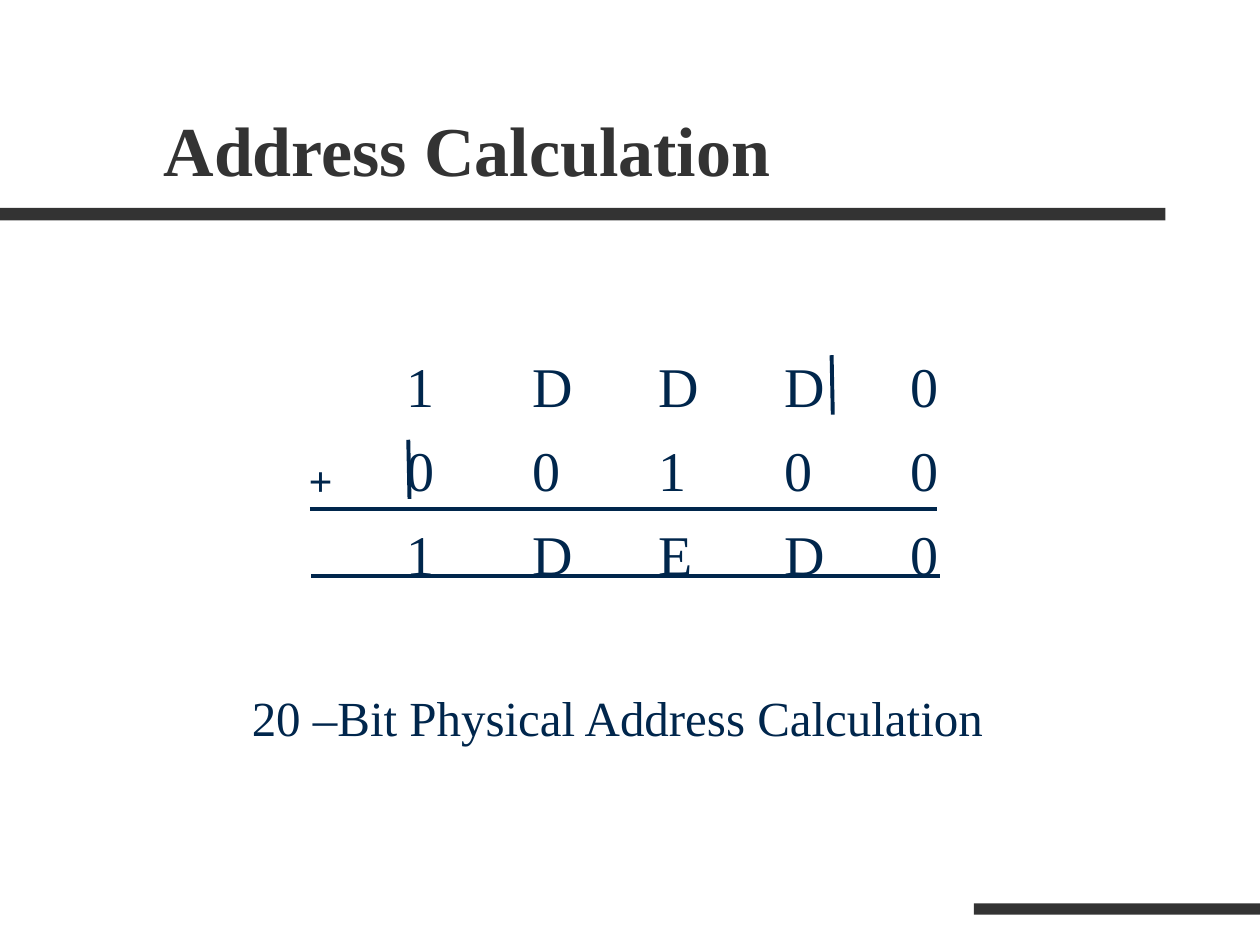
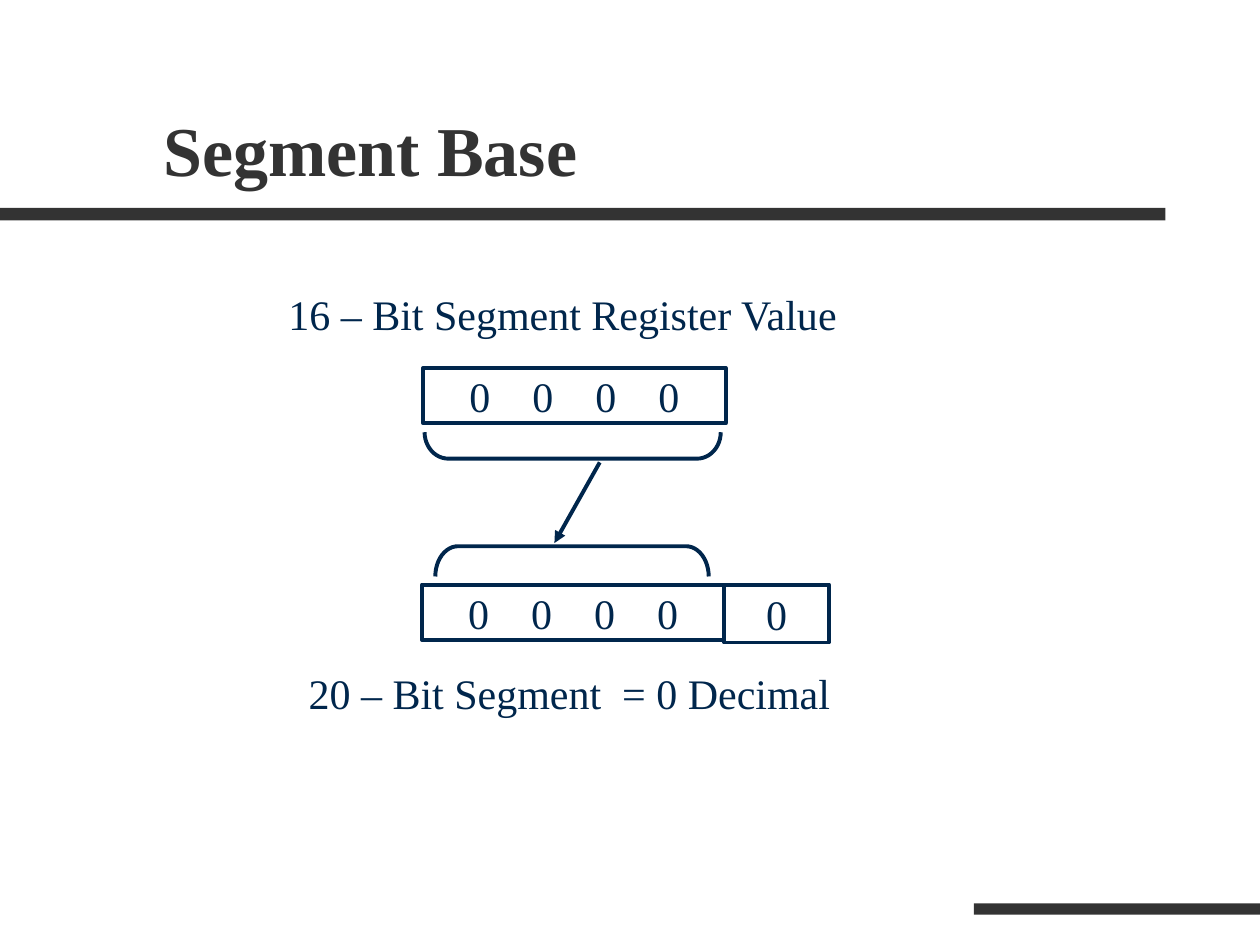
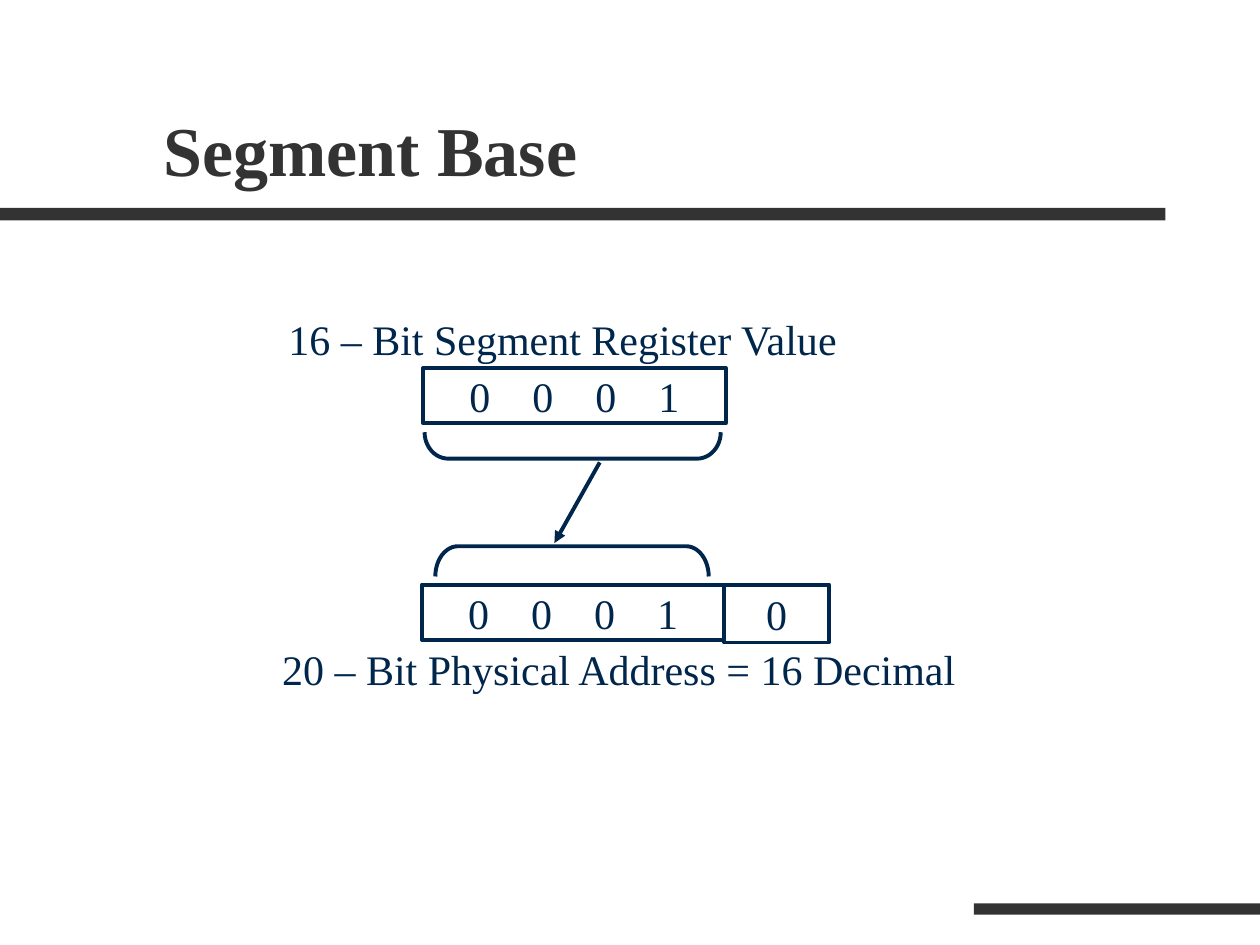
from lxml import etree
from pptx import Presentation
from pptx.dml import color
from pptx.enum import shapes, text
from pptx.oxml import ns
from pptx.util import Pt

# Shared style
FONT, NAVY, DARK, LINE = "Times New Roman", "00264C", "333333", 2.25
BANDS = [(0, 118.8, 666, 7.2), (556.56, 516.24, 163.44, 6.48)]
TITLE = (86.4, 22.32, 612, 90)

# Content: the sum, then the segment slides
SUM = ["1DDD0", "00100", "1DED0"]
RULES = [(177.1, 290.9, 535.7, 290.9), (177.8, 329, 537.1, 329)]
MARKS = [(475.2, 203, 475.9, 236.9), (233.3, 251.3, 234, 285.1)]
HEAD = "16 – Bit Segment Register Value"
BASES = [
    dict(bits="0000", head=161.28, note="20 – Bit Segment  = 0 Decimal",
         at=(169.2, 378, 386, 36)),
    dict(bits="0001", head=175.68, note="20 – Bit Physical Address = 16 Decimal",
         at=(154.08, 364.32, 419, 36)),
]
STEP, DIGIT = 36, 12  # spacing and width of the boxed digits


def rgb(code):
    return color.RGBColor.from_string(code)


def pts(*vals):
    return [Pt(v) for v in vals]


def write(shape, words, size=24, ink=NAVY, bold=False, center=False,
          anchor="TOP", inset=7.2, after=0, tab=0):
    frame = shape.text_frame
    frame.word_wrap = True
    frame.margin_left, frame.margin_right = pts(inset, 0 if tab else inset)
    frame.margin_top = frame.margin_bottom = Pt(3.6)
    frame.vertical_anchor = getattr(text.MSO_ANCHOR, anchor)
    for i, row in enumerate(words.split("\n")):
        para = frame.add_paragraph() if i else frame.paragraphs[0]
        para.alignment = text.PP_ALIGN.CENTER if center else text.PP_ALIGN.LEFT
        para.space_after = Pt(after)
        run = para.add_run()
        run.text = row
        font = run.font
        font.name, font.size, font.bold = FONT, Pt(size), bold
        font.color.rgb = rgb(ink)
        if tab:
            stops = etree.SubElement(para._p.get_or_add_pPr(), ns.qn("a:tabLst"))
            for n in range(1, row.count("\t") + 1):
                etree.SubElement(stops, ns.qn("a:tab"), pos=str(Pt(n * tab)), algn="l")


def label(slide, words, at, **form):
    write(slide.shapes.add_textbox(*pts(*at)), words, **form)


def draw(slide, kind, at, fill=None, line=None):
    shape = slide.shapes.add_shape(getattr(shapes.MSO_SHAPE, kind), *pts(*at))
    shape.shadow.inherit = False
    if fill:
        shape.fill.solid()
        shape.fill.fore_color.rgb = rgb(fill)
    else:
        shape.fill.background()
    if line:
        shape.line.color.rgb = rgb(line)
        shape.line.width = Pt(LINE)
    else:
        shape.line.fill.background()
    return shape


def rule(slide, ends, arrow=False):
    line = slide.shapes.add_connector(shapes.MSO_CONNECTOR.STRAIGHT, *pts(*ends))
    line.line.color.rgb = rgb(NAVY)
    line.line.width = Pt(LINE)
    if arrow:
        etree.SubElement(line.line._get_or_add_ln(), ns.qn("a:tailEnd"), type="triangle")
    etree.SubElement(line._element.spPr, ns.qn("a:effectLst"))


def cells(slide, bits, at):
    """Box with its digits evenly spaced and centred."""
    side = (at[2] - STEP * (len(bits) - 1) - DIGIT) / 2
    write(draw(slide, "RECTANGLE", at, line=NAVY), "\t".join(bits),
          anchor="MIDDLE", inset=side, tab=STEP)


def brace(slide, kind, at, bend):
    shape = draw(slide, kind, at, line=NAVY)
    shape.rotation = 270
    shape.adjustments[0] = bend


def start(deck, title):
    slide = deck.slides.add_slide(deck.slide_layouts[6])
    for at in BANDS:
        draw(slide, "RECTANGLE", at, fill=DARK)
    label(slide, title, TITLE, size=40, ink=DARK, bold=True, anchor="BOTTOM")
    return slide


def total(deck):
    slide = start(deck, "Address Calculation")
    label(slide, "\n".join("\t".join(row) for row in SUM),
          (225.4, 197.5, 330, 146), size=32, after=9.5, tab=72)
    label(slide, "+", (169.2, 256.32, 46.8, 36), bold=True)
    for ends in RULES + MARKS:
        rule(slide, ends)
    label(slide, "20 –Bit Physical Address Calculation",
          (69.84, 389.5, 565.92, 41), size=28, center=True)


def base(deck, bits, head, note, at):
    slide = start(deck, "Segment Base")
    label(slide, HEAD, (157.68, head, 336.24, 36))
    cells(slide, bits, (241.92, 210.24, 172.8, 31.68))
    cells(slide, bits, (241.2, 334.08, 172.8, 31.68))
    cells(slide, "0", (414, 334.08, 59.76, 33.12))
    label(slide, note, at)
    brace(slide, "LEFT_BRACKET", (319.68, 169.92, 15.12, 169.2), 0.9)
    brace(slide, "RIGHT_BRACKET", (318.24, 242.64, 17.28, 156.24), 0.75)
    rule(slide, (342.72, 264.24, 316.8, 310.32), arrow=True)


def main():
    deck = Presentation()
    deck.slide_width, deck.slide_height = pts(720, 540)
    total(deck)
    for item in BASES:
        base(deck, **item)
    deck.save("out.pptx")


if __name__ == "__main__":
    main()
